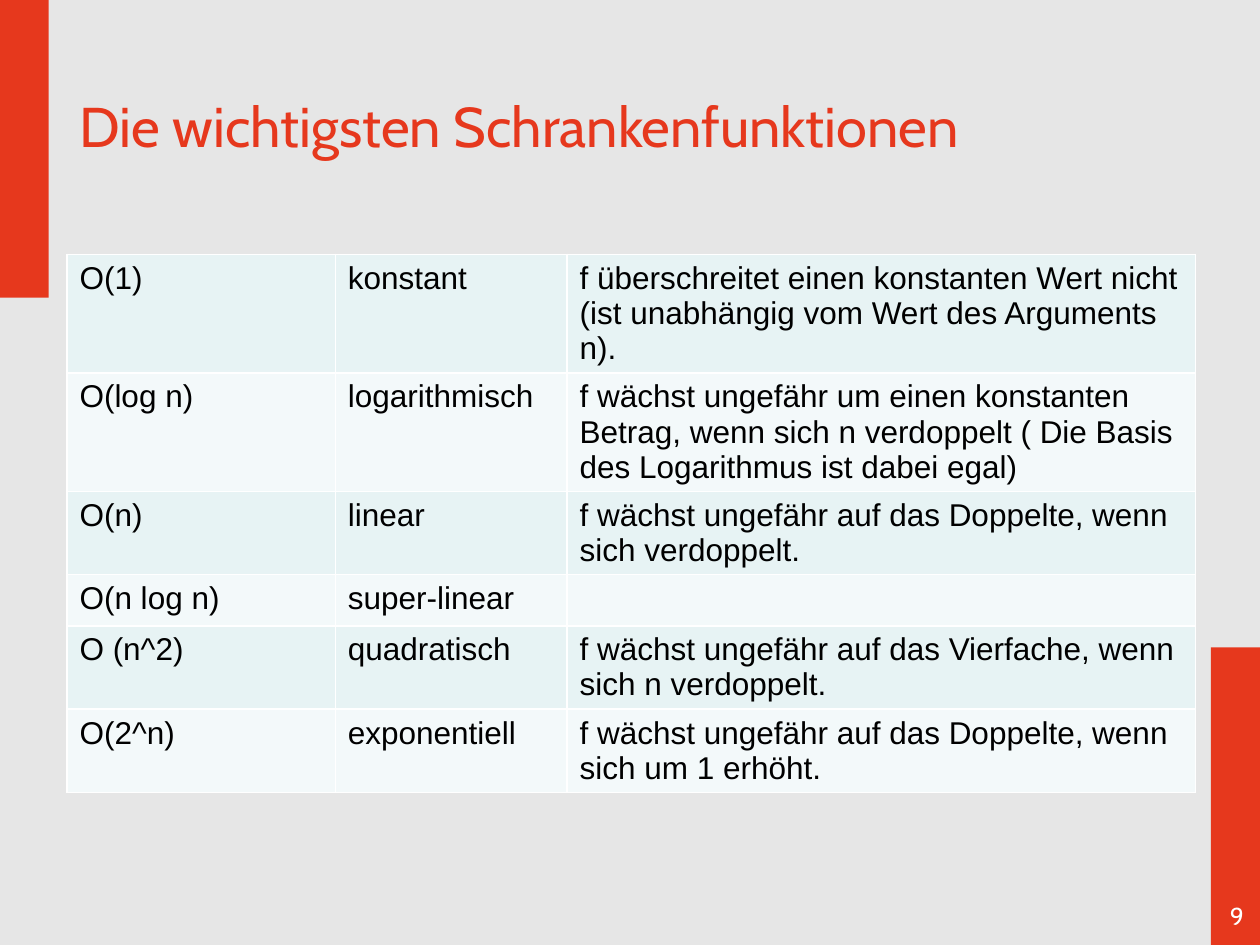
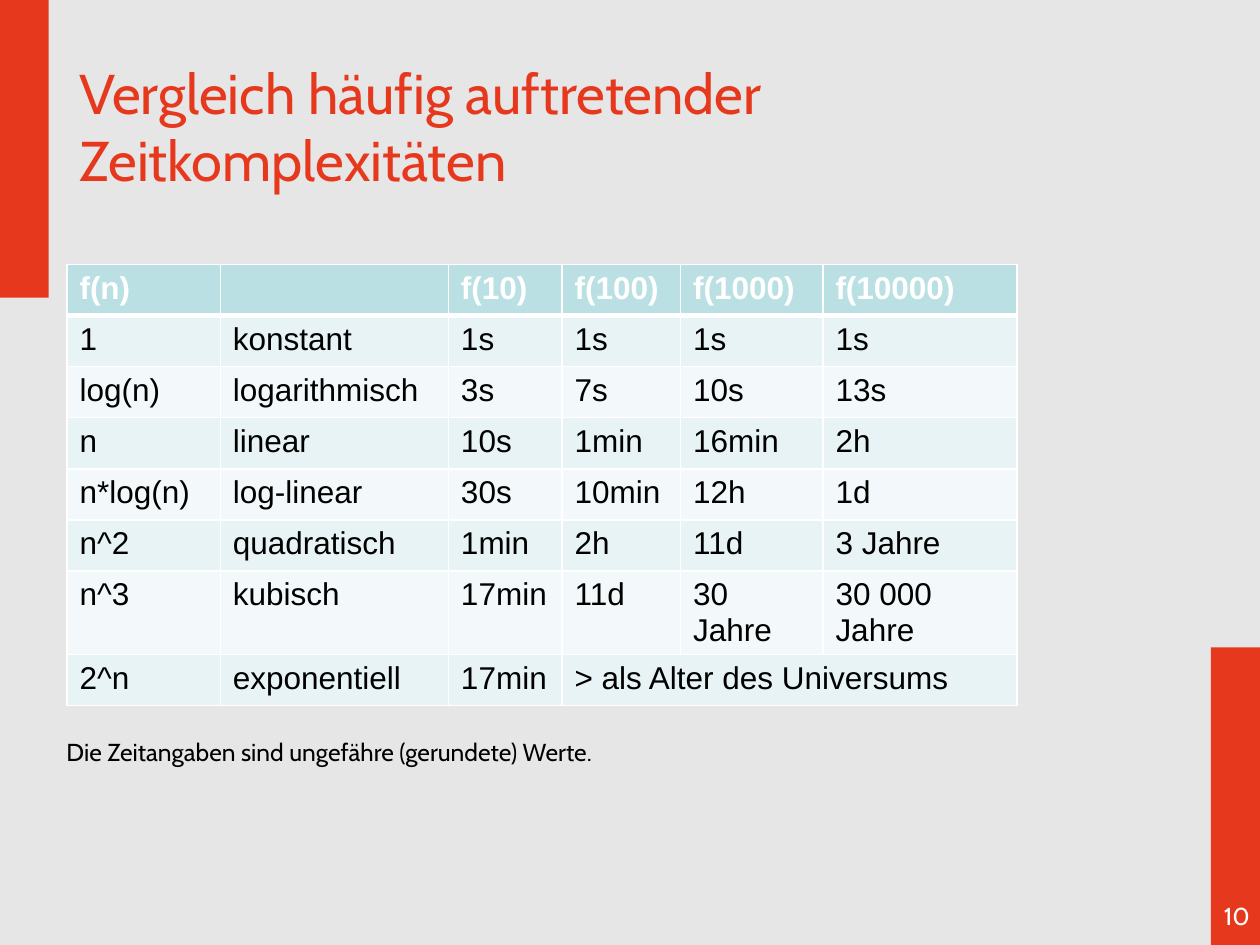
from lxml.etree import SubElement
from pptx import Presentation
from pptx.dml.color import RGBColor
from pptx.enum.shapes import MSO_SHAPE as Shape
from pptx.enum.text import MSO_ANCHOR as Anchor, MSO_AUTO_SIZE as Fit, PP_ALIGN as Align
from pptx.oxml.ns import qn
from pptx.util import Cm, Pt

RED = RGBColor(0xE6, 0x38, 0x1D)
GREY = RGBColor(0xE6, 0xE6, 0xE6)
WHITE = RGBColor(0xFF, 0xFF, 0xFF)
BLACK = RGBColor(0, 0, 0)
TEAL = RGBColor(0xBB, 0xE0, 0xE3)
BANDS = RGBColor(0xE7, 0xF3, 0xF4), RGBColor(0xF3, 0xF9, 0xFA)

WIDE, HIGH = 25.4, 19.05
BAR_W, BAR_H = 1, 6
LEFT = 1.35
LINE, DOUBLE, TRIPLE = 1.03, 1.68, 2.38  # row heights by lines of text

BOUNDS = [
    ("O(1)", "konstant",
     "f überschreitet einen konstanten Wert nicht (ist unabhängig vom Wert des Arguments n)."),
    ("O(log n)", "logarithmisch",
     "f wächst ungefähr um einen konstanten Betrag, wenn sich n verdoppelt "
     "( Die Basis des Logarithmus ist dabei egal)"),
    ("O(n)", "linear", "f wächst ungefähr auf das Doppelte, wenn sich verdoppelt."),
    ("O(n log n)", "super-linear", ""),
    ("O (n^2)", "quadratisch", "f wächst ungefähr auf das Vierfache, wenn sich n verdoppelt."),
    ("O(2^n)", "exponentiell", "f wächst ungefähr auf das Doppelte, wenn sich um 1 erhöht."),
]
TIMES = [
    ("f(n)", "", "f(10)", "f(100)", "f(1000)", "f(10000)"),
    ("1", "konstant", "1s", "1s", "1s", "1s"),
    ("log(n)", "logarithmisch", "3s", "7s", "10s", "13s"),
    ("n", "linear", "10s", "1min", "16min", "2h"),
    ("n*log(n)", "log-linear", "30s", "10min", "12h", "1d"),
    ("n^2", "quadratisch", "1min", "2h", "11d", "3 Jahre"),
    ("n^3", "kubisch", "17min", "11d", "30 Jahre", "30 000 Jahre"),
    ("2^n", "exponentiell", "17min", "> als Alter des Universums", "", ""),
]


def style(frame, size, color, face="Cabin", bold=False):
    for para in frame.paragraphs:
        for run in para.runs:
            font = run.font
            font.name, font.size, font.bold = face, Pt(size), bold
            font.color.rgb = color


def add_text(slide, box, text, size, color, align=Align.LEFT, anchor=Anchor.TOP):
    frame = slide.shapes.add_textbox(*map(Cm, box)).text_frame
    frame.word_wrap = True
    frame.auto_size = Fit.NONE
    frame.vertical_anchor = anchor
    frame.text = text
    frame.paragraphs[0].alignment = align
    style(frame, size, color)


def add_bar(slide, left, top):
    bar = slide.shapes.add_shape(Shape.RECTANGLE, Cm(left), Cm(top), Cm(BAR_W), Cm(BAR_H))
    bar.shadow.inherit = False
    bar.fill.solid()
    bar.fill.fore_color.rgb = RED
    bar.line.fill.background()


def add_page(deck, title, number):
    """Add a slide with its side bars, page number and title."""
    slide = deck.slides.add_slide(deck.slide_layouts[6])
    slide.background.fill.solid()
    slide.background.fill.fore_color.rgb = GREY
    add_bar(slide, -0.02, 0)
    add_bar(slide, WIDE - BAR_W + 0.01, HIGH - BAR_H)
    add_text(slide, (24.16, 18.03, 1.55, 0.71), str(number), 14, WHITE, Align.CENTER)
    add_text(slide, (LEFT, 1.73, 20.37, 1.6), title, 32, RED, anchor=Anchor.MIDDLE)
    return slide


def set_edges(cell, top, bottom):
    """Draw white cell borders; top and bottom are widths in points."""
    props = cell._tc.get_or_add_tcPr()
    for side, width in (("L", 1), ("R", 1), ("T", top), ("B", bottom)):
        edge = SubElement(props, qn(f"a:ln{side}"), w=str(Pt(width)))
        fill = SubElement(edge, qn("a:solidFill"))
        SubElement(fill, qn("a:srgbClr"), val=str(WHITE))


def add_grid(slide, top, rows, widths, heights, header=False):
    table = slide.shapes.add_table(len(rows), len(widths), Cm(LEFT), Cm(top),
                                   Cm(sum(widths)), Cm(sum(heights))).table
    table.first_row = header
    for col, width in zip(table.columns, widths):
        col.width = Cm(width)
    for r, (texts, height) in enumerate(zip(rows, heights)):
        table.rows[r].height = Cm(height)
        head = header and r == 0
        for c, text in enumerate(texts):
            cell = table.cell(r, c)
            cell.text = text
            style(cell.text_frame, 18, WHITE if head else BLACK, "Arial", head)
            set_edges(cell, 3 if header and r == 1 else 1, 3 if head else 1)
            cell.fill.solid()
            cell.fill.fore_color.rgb = TEAL if head else BANDS[(r - header) % 2]
    return table


def add_bounds(deck):
    slide = add_page(deck, "Die wichtigsten Schrankenfunktionen", 9)
    add_grid(slide, 5.13, BOUNDS, (5.41, 4.67, 12.67),
             (TRIPLE, TRIPLE, DOUBLE, LINE, DOUBLE, DOUBLE))


def add_times(deck):
    slide = add_page(deck, "Vergleich häufig auftretender Zeitkomplexitäten", 10)
    table = add_grid(slide, 5.33, TIMES, (3.09, 4.6, 2.29, 2.39, 2.87, 3.91),
                     [LINE] * 6 + [DOUBLE, LINE], header=True)
    table.cell(7, 3).merge(table.cell(7, 5))
    add_text(slide, (1.09, 14.73, 12.04, 0.86),
             "Die Zeitangaben sind ungefähre (gerundete) Werte.", 14, BLACK)


def main():
    deck = Presentation()
    deck.slide_width, deck.slide_height = Cm(WIDE), Cm(HIGH)
    add_bounds(deck)
    add_times(deck)
    deck.save("out.pptx")


if __name__ == "__main__":
    main()
